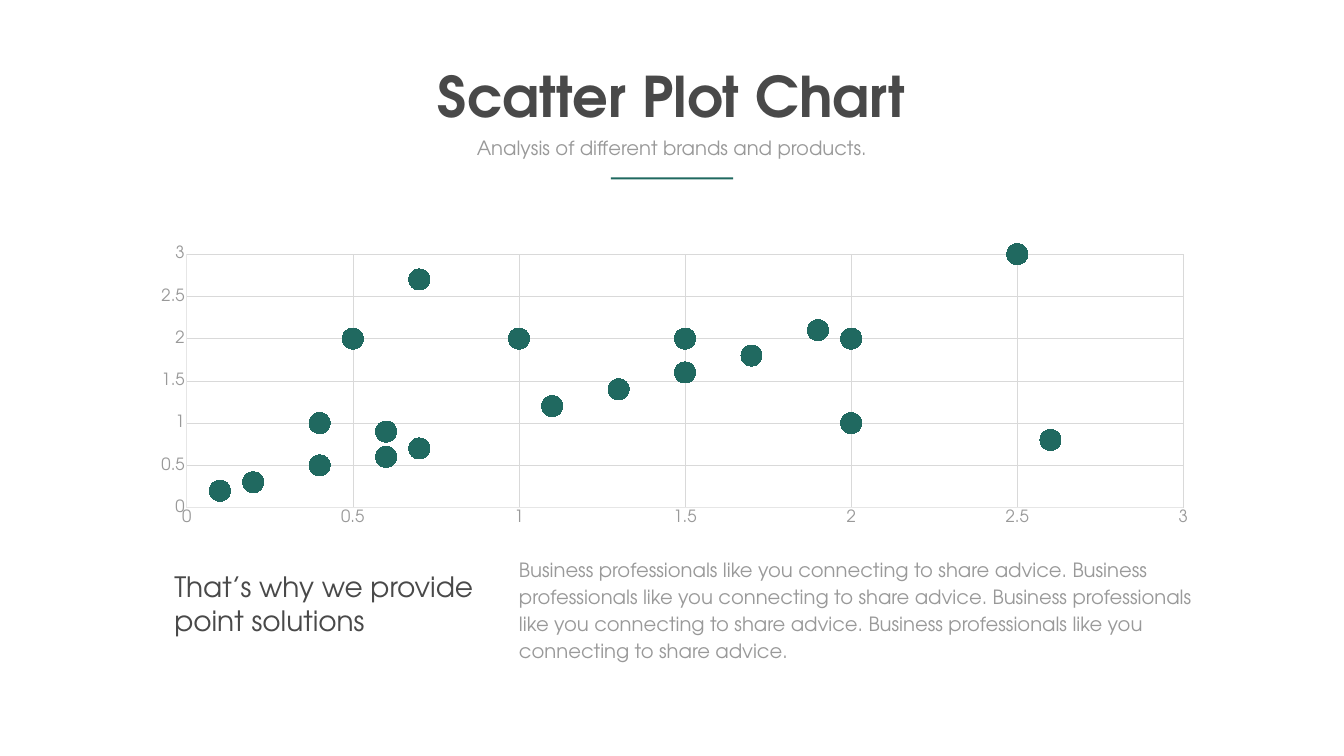
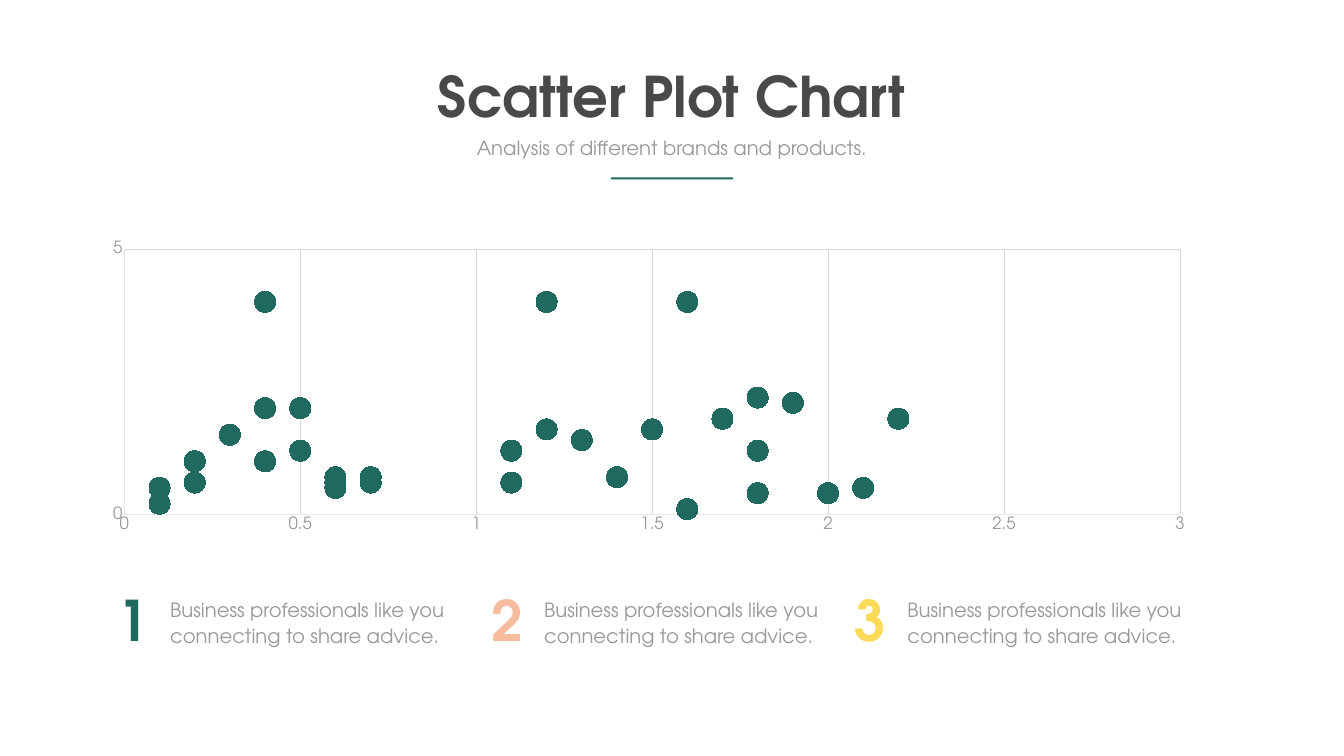
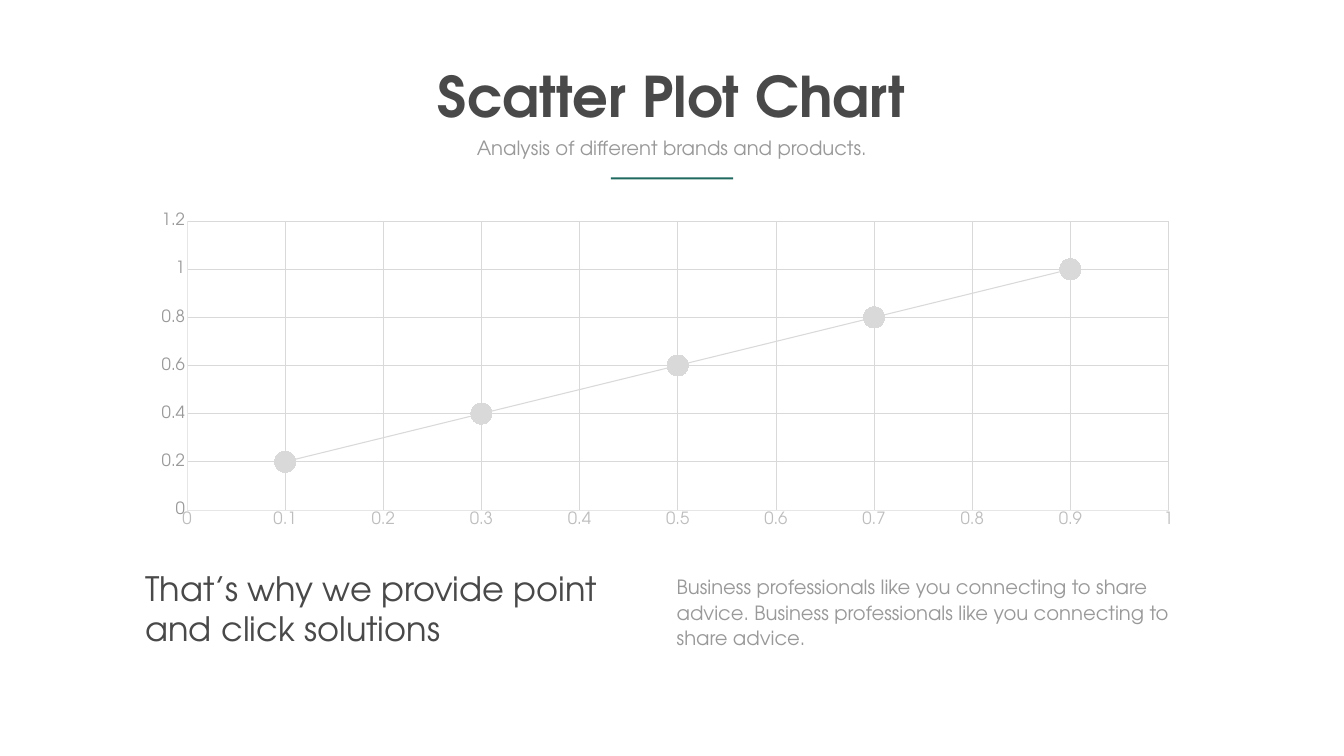
"""Build three scatter plot slides with a shared heading style."""
from pptx import Presentation
from pptx.chart.data import XyChartData
from pptx.dml.color import RGBColor
from pptx.enum.chart import XL_CHART_TYPE, XL_MARKER_STYLE, XL_TICK_MARK
from pptx.enum.shapes import MSO_SHAPE
from pptx.enum.text import MSO_AUTO_SIZE, PP_ALIGN
from pptx.util import Pt

PX = 9144
FONT = "TeX Gyre Adventor"
DARK, GREY, PALE, GREEN = "494949", "999999", "BDBDBD", "206960"
PEACH, YELLOW, GRID, AXIS = "F7BC9E", "FADA56", "D9D9D9", "E6E6E6"
ADVICE = "Business professionals like you connecting to share advice."


def rgb(value):
    """Return the colour for a hex string."""
    return RGBColor.from_string(value)


def px(*lengths):
    """Turn lengths in px into EMU."""
    return [n * PX for n in lengths]


def assign(target, values):
    """Set attributes of an object from a dict."""
    for name, value in values.items():
        setattr(target, name, value)


class Deck:
    """Hold the shared style and the current slide."""

    def __init__(self):
        """Start a presentation of the right size."""
        self.prs = Presentation()
        self.prs.slide_width, self.prs.slide_height = px(2667, 1500)
        self.s = None

    def slide(self):
        """Add a slide with the title, subtitle and rule."""
        self.s = self.prs.slides.add_slide(self.prs.slide_layouts[6])
        fill = self.s.background.fill
        fill.solid()
        fill.fore_color.rgb = rgb("FFFFFF")
        self.text((855, 117, 956, 145), "Scatter Plot Chart", 80, DARK,
                  bold=True, align=PP_ALIGN.CENTER, wrap=False)
        self.text((855, 265, 956, 57), "Analysis of different brands and products.",
                  28, GREY, align=PP_ALIGN.CENTER)
        self.bar((1212, 352, 243, 4), GREEN)

    def style(self, font, size, color, bold=False):
        """Apply the deck font."""
        assign(font, {"name": FONT, "size": Pt(size), "bold": bold})
        font.color.rgb = rgb(color)

    def text(self, box, words, size, color, bold=False,
             align=PP_ALIGN.LEFT, spacing=None, wrap=True):
        """Add a text box that grows with its text."""
        tf = self.s.shapes.add_textbox(*px(*box)).text_frame
        assign(tf, {"word_wrap": wrap, "auto_size": MSO_AUTO_SIZE.SHAPE_TO_FIT_TEXT})
        p = tf.paragraphs[0]
        p.alignment = align
        if spacing:
            p.line_spacing = Pt(spacing)
        r = p.add_run()
        r.text = words
        self.style(r.font, size, color, bold)

    def bar(self, box, color):
        """Add a plain filled rectangle."""
        sp = self.s.shapes.add_shape(MSO_SHAPE.RECTANGLE, *px(*box))
        sp.shadow.inherit = False
        sp.fill.solid()
        sp.fill.fore_color.rgb = rgb(color)
        sp.line.fill.background()

    def line(self, line, color, width):
        """Format a chart line."""
        line.color.rgb = rgb(color)
        line.width = Pt(width)

    def axis(self, axis, limits, color):
        """Format an axis and its gridlines."""
        assign(axis, {"has_major_gridlines": True, "major_tick_mark": XL_TICK_MARK.NONE,
                      "minor_tick_mark": XL_TICK_MARK.NONE, **limits})
        self.style(axis.tick_labels.font, 24, color)
        self.line(axis.format.line, AXIS, 0.75)
        self.line(axis.major_gridlines.format.line, GRID, 0.75)

    def scatter(self, box, xs, ys, x_limits, y_limits, x_color=GREY, joined=None):
        """Add a scatter chart, with its points joined if a colour is given."""
        data = XyChartData()
        points = data.add_series("Series 1")
        for x, y in zip(xs, ys):
            points.add_data_point(x, y)
        kind = XL_CHART_TYPE.XY_SCATTER_LINES if joined else XL_CHART_TYPE.XY_SCATTER
        chart = self.s.shapes.add_chart(kind, *px(*box), data).chart
        assign(chart, {"has_title": False, "has_legend": False})
        self.style(chart.font, 24, GREY)
        self.axis(chart.category_axis, x_limits, x_color)
        self.axis(chart.value_axis, y_limits, GREY)
        plot = chart.plots[0]
        plot.vary_by_categories = False
        series = plot.series[0]
        if joined:
            series.smooth = False
            self.line(series.format.line, joined, 1.5)
        marker = series.marker
        assign(marker, {"style": XL_MARKER_STYLE.CIRCLE, "size": 30})
        marker.format.fill.solid()
        marker.format.fill.fore_color.rgb = rgb(GREEN)
        marker.format.line.fill.background()


def main():
    """Build and save the slides."""
    deck = Deck()

    deck.slide()
    deck.scatter(
        (278, 477, 2122, 577),
        [0.7, 1.8, 2.6, 3, 5, 2, 1, 3, 2, 1, 2, 2, 0.2, 0.4, 0.6, 1.5, 2.5, 3.5, 4, 1.2,
         2.2, 3.3, 4.5, 1.1, 1.3, 1.5, 1.7, 1.9, 0.1, 0.4, 0.5, 0.6, 0.7],
        [2.7, 3.2, 0.8, 3.4, 1.5, 2, 2, 4, 6, 4, 1, 2, 0.3, 0.5, 0.9, 2, 3, 4, 2, 4,
         6, 4, 1, 1.2, 1.4, 1.6, 1.8, 2.1, 0.2, 1, 2, 0.6, 0.7],
        {"maximum_scale": 3}, {"maximum_scale": 3})
    deck.text((336, 1125, 636, 145), "That’s why we provide point solutions", 40, DARK)
    deck.text((1020, 1095, 1380, 224), " ".join([ADVICE] * 4), 28, GREY, spacing=38.6)

    deck.slide()
    deck.scatter(
        (180, 466, 2215, 602),
        [3.5, 4, 1.2, 2.2, 3.3, 4.5, 1.1, 1.3, 1.5, 1.7, 1.9, 0.1, 0.4, 0.5, 0.6, 0.7,
         4, 1.2, 2.2, 3.3, 4.5, 1.1, 2, 0.6, 0.7, 1.4, 1.6, 1.8, 1.8, 1.6, 1.8, 2.1,
         0.2, 0.6, 0.4, 0.5, 0.1, 0.2, 0.3, 0.4, 1, 2, 3, 4, 5, 6],
        [4, 2, 4, 6, 4, 1, 1.2, 1.4, 1.6, 1.8, 2.1, 0.2, 1, 2, 0.6, 0.7,
         1.4, 1.6, 1.8, 2.1, 0.2, 0.6, 0.4, 0.5, 0.6, 0.7, 4, 1.2, 2.2, 0.1, 0.4, 0.5,
         0.6, 0.7, 4, 1.2, 0.5, 1, 1.5, 2, 7, 8, 9, 10, 11, 12],
        {"maximum_scale": 3}, {"maximum_scale": 5, "major_unit": 5})
    columns = zip((223, 965, 1686), (GREEN, PEACH, YELLOW))
    for number, (left, color) in enumerate(columns, 1):
        deck.text((left + 105, 1178, 616, 110), ADVICE, 28, GREY, spacing=36.6)
        deck.text((left, 1156, 126, 145), str(number), 80, color, bold=True)

    deck.slide()
    deck.scatter((279, 410, 2091, 650), [0.1, 0.3, 0.5, 0.7, 0.9],
                 [0.2, 0.4, 0.6, 0.8, 1], {}, {}, x_color=PALE, joined=GRID)
    deck.text((279, 1122, 996, 172), "That’s why we provide point and click solutions", 48, DARK)
    deck.text((1333, 1132, 1040, 162), " ".join([ADVICE] * 2), 28, GREY, spacing=36.6)

    deck.prs.save("out.pptx")


if __name__ == "__main__":
    main()
